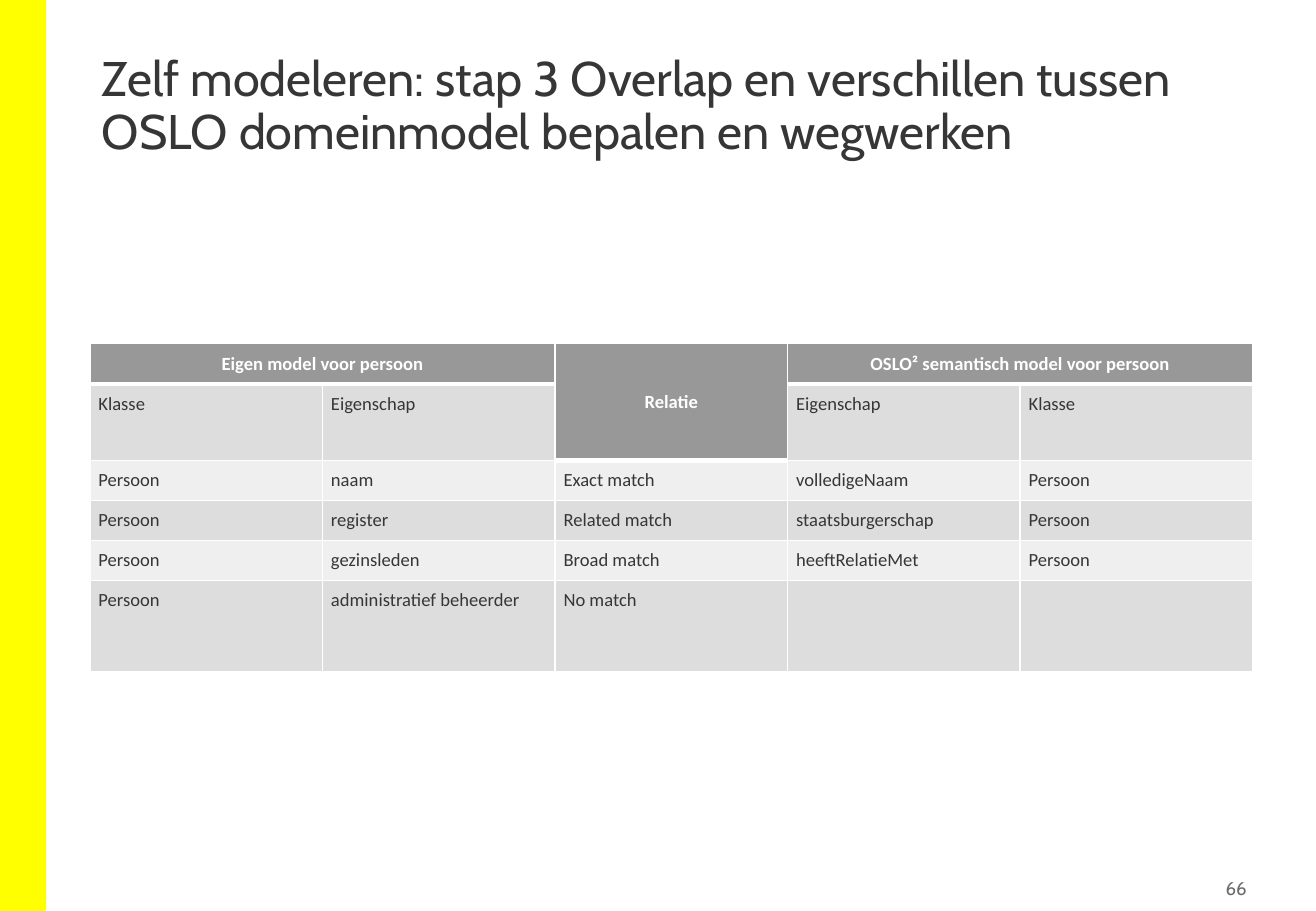
from dataclasses import dataclass

from lxml.etree import SubElement
from pptx import Presentation
from pptx.dml.color import RGBColor
from pptx.enum.shapes import MSO_SHAPE
from pptx.enum.text import MSO_ANCHOR, PP_ALIGN
from pptx.oxml.ns import qn
from pptx.slide import Slide
from pptx.table import _Cell
from pptx.util import Pt


@dataclass(frozen=True)
class Theme:
    accent: str = "FFFF00"
    text: str = "373636"
    muted: str = "6B6B6B"
    white: str = "FFFFFF"
    header: str = "989898"
    band_dark: str = "DDDDDD"
    band_light: str = "EFEFEF"
    title_font: str = "Cabin"
    table_font: str = "Calibri"
    title_size: float = 28.8
    small_size: float = 11
    thin_border: float = 1
    header_border: float = 3


@dataclass(frozen=True)
class TextItem:
    text: str
    left: float
    top: float
    width: float
    height: float
    size: float
    color: str
    margin_x: float = 7.2
    margin_y: float = 3.6
    align: PP_ALIGN = PP_ALIGN.LEFT
    anchor: MSO_ANCHOR = MSO_ANCHOR.TOP
    line_spacing: float = 1.0


THEME = Theme()
SLIDE_WIDTH, SLIDE_HEIGHT = 779.76, 540
LEFT, CONTENT_WIDTH = 53.28, 689.04
TABLE_TOP = 203.76
CELL_MARGIN = 5.04
RELATION_COLUMN = 2

TEXT_ITEMS = (
    TextItem("Zelf modeleren: stap 3 Overlap en verschillen tussen "
             "OSLO domeinmodel bepalen en wegwerken",
             LEFT, 28.8, CONTENT_WIDTH, 77.76, THEME.title_size, THEME.text,
             line_spacing=0.9),
    TextItem("66", 684, 516.24, 58.32, 20.88, THEME.small_size, THEME.muted,
             margin_x=3.6, align=PP_ALIGN.RIGHT, anchor=MSO_ANCHOR.MIDDLE),
)

ROW_HEIGHTS = (23.76, 45.36, 23.76, 23.76, 23.76, 54)
ROWS = (
    ("Eigen model voor persoon", "", "Relatie", "OSLO² semantisch model voor persoon", ""),
    ("Klasse", "Eigenschap", "", "Eigenschap", "Klasse"),
    ("Persoon", "naam", "Exact match", "volledigeNaam", "Persoon"),
    ("Persoon", "register", "Related match", "staatsburgerschap", "Persoon"),
    ("Persoon", "gezinsleden", "Broad match", "heeftRelatieMet", "Persoon"),
    ("Persoon", "administratief beheerder", "No match", "", ""),
)
MERGES = (((0, 0), (0, 1)), ((0, 2), (1, 2)), ((0, 3), (0, 4)))


def add_accent_bar(slide: Slide) -> None:
    bar = slide.shapes.add_shape(MSO_SHAPE.RECTANGLE, 0, 0, Pt(27.36), Pt(SLIDE_HEIGHT))
    bar.shadow.inherit = False
    bar.fill.solid()
    bar.fill.fore_color.rgb = RGBColor.from_string(THEME.accent)
    bar.line.fill.background()


def add_text(slide: Slide, item: TextItem) -> None:
    box = slide.shapes.add_textbox(Pt(item.left), Pt(item.top), Pt(item.width), Pt(item.height))
    frame = box.text_frame
    frame.word_wrap = True
    frame.vertical_anchor = item.anchor
    frame.margin_left = frame.margin_right = Pt(item.margin_x)
    frame.margin_top = frame.margin_bottom = Pt(item.margin_y)
    frame.text = item.text
    paragraph = frame.paragraphs[0]
    paragraph.alignment = item.align
    paragraph.line_spacing = item.line_spacing
    font = paragraph.runs[0].font
    font.name, font.size = THEME.title_font, Pt(item.size)
    font.color.rgb = RGBColor.from_string(item.color)


def is_header(row: int, column: int) -> bool:
    return row == 0 or (row == 1 and column == RELATION_COLUMN)


def set_borders(cell: _Cell, top: float, bottom: float) -> None:
    properties = cell._tc.get_or_add_tcPr()
    widths = {"L": THEME.thin_border, "R": THEME.thin_border, "T": top, "B": bottom}
    for side, width in widths.items():
        line = SubElement(properties, qn(f"a:ln{side}"), w=str(Pt(width)))
        fill = SubElement(line, qn("a:solidFill"))
        SubElement(fill, qn("a:srgbClr"), val=THEME.white)


def style_cell(cell: _Cell, text: str, row: int, column: int) -> None:
    header = is_header(row, column)
    below_header = row > 0 and not header and is_header(row - 1, column)
    set_borders(cell,
                THEME.header_border if below_header else THEME.thin_border,
                THEME.header_border if header else THEME.thin_border)
    band = THEME.band_dark if row % 2 else THEME.band_light
    cell.fill.solid()
    cell.fill.fore_color.rgb = RGBColor.from_string(THEME.header if header else band)
    cell.margin_left = cell.margin_right = Pt(CELL_MARGIN)
    cell.margin_top = cell.margin_bottom = Pt(CELL_MARGIN)
    cell.vertical_anchor = MSO_ANCHOR.MIDDLE if header else MSO_ANCHOR.TOP
    cell.text_frame.text = text
    paragraph = cell.text_frame.paragraphs[0]
    paragraph.alignment = PP_ALIGN.CENTER if header else PP_ALIGN.LEFT
    font = paragraph.font
    font.name, font.size, font.bold = THEME.table_font, Pt(THEME.small_size), header
    font.color.rgb = RGBColor.from_string(THEME.white if header else THEME.text)
    for run in paragraph.runs:
        run.font.name, run.font.size, run.font.bold = font.name, font.size, header
        run.font.color.rgb = font.color.rgb


def add_mapping_table(slide: Slide) -> None:
    column_count = len(ROWS[0])
    table = slide.shapes.add_table(len(ROWS), column_count, Pt(LEFT), Pt(TABLE_TOP),
                                   Pt(CONTENT_WIDTH), Pt(sum(ROW_HEIGHTS))).table
    for column in table.columns:
        column.width = Pt(CONTENT_WIDTH / column_count)
    for row, height in zip(table.rows, ROW_HEIGHTS):
        row.height = Pt(height)
    for row_index, texts in enumerate(ROWS):
        for column_index, text in enumerate(texts):
            style_cell(table.cell(row_index, column_index), text, row_index, column_index)
    for first, last in MERGES:
        table.cell(*first).merge(table.cell(*last))


def main() -> None:
    presentation = Presentation()
    presentation.slide_width, presentation.slide_height = Pt(SLIDE_WIDTH), Pt(SLIDE_HEIGHT)
    slide = presentation.slides.add_slide(presentation.slide_layouts[6])

    # Yellow bar along the left edge
    add_accent_bar(slide)
    # Title and page number
    for item in TEXT_ITEMS:
        add_text(slide, item)
    # Mapping between the own model and OSLO²
    add_mapping_table(slide)

    presentation.save("out.pptx")


if __name__ == "__main__":
    main()
